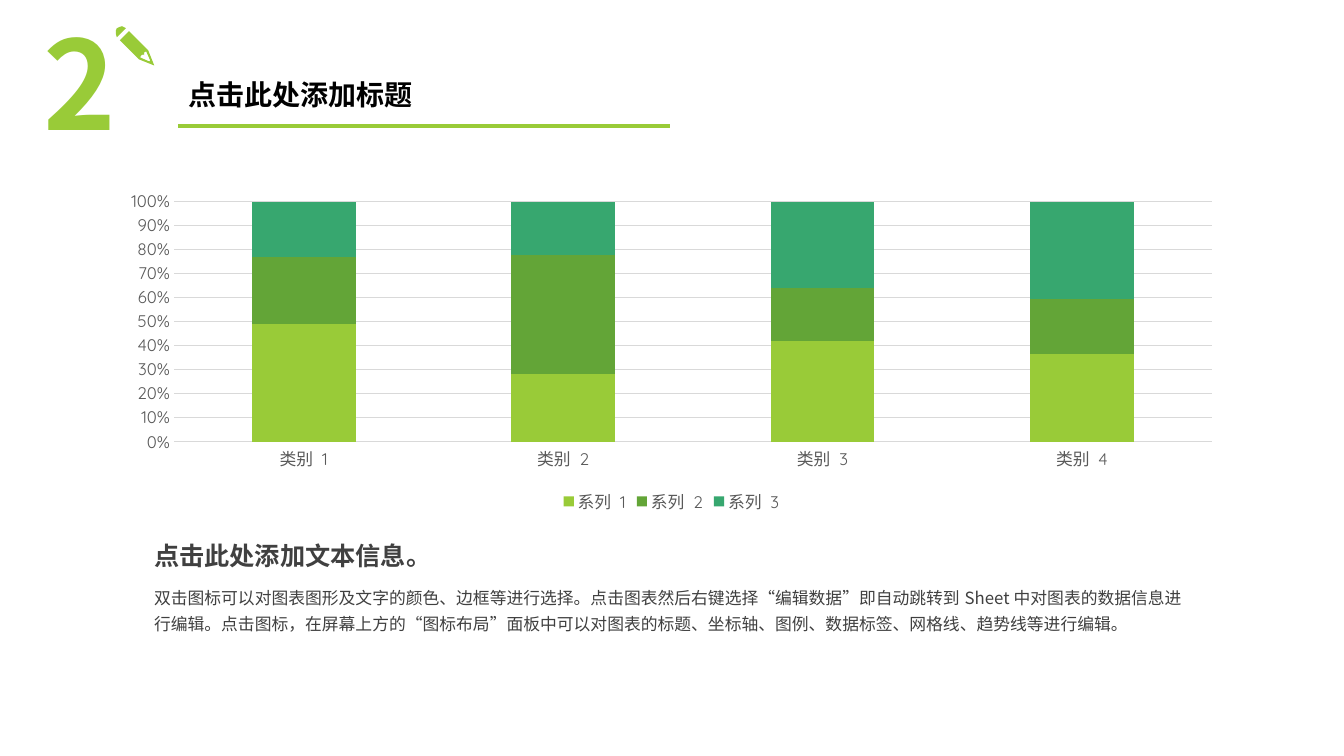
from lxml.etree import SubElement
from pptx import Presentation
from pptx.chart.data import CategoryChartData
from pptx.dml.color import RGBColor
from pptx.enum.chart import XL_CHART_TYPE as ChartType
from pptx.enum.chart import XL_LEGEND_POSITION as LegendPosition
from pptx.enum.chart import XL_TICK_MARK as TickMark
from pptx.enum.shapes import MSO_CONNECTOR as Connector
from pptx.enum.text import MSO_ANCHOR as Anchor
from pptx.oxml.ns import qn
from pptx.util import Pt

PX = 9144  # 100 px to the inch
TEXT_FONT, CHART_FONT = "Noto Sans CJK SC", "Quicksand"
LIME, GREEN, TEAL = "99CB38", "63A537", "37A76F"
BLACK, DARK_GRAY, GRAY, LIGHT_GRAY = "000000", "404040", "595959", "D9D9D9"

CATEGORIES = [f"类别 {number}" for number in range(1, 5)]
SERIES = [
    ("系列 1", (49, 28, 42, 37), LIME),
    ("系列 2", (28, 49, 22, 23), GREEN),
    ("系列 3", (23, 22, 36, 41), TEAL),
]

# Pencil outlines, in px from the top left corner of the icon
ERASER = [(1, 2), (0, 4), (0, 8), (1, 11), (10, 2), (8, 1), (6, 0), (3, 1)]
PENCIL_BODY = [(23, 33), (38, 39), (32, 24), (13, 5), (4, 14)]
PENCIL_TIP = [(25, 29), (27, 28), (28, 29), (28, 26), (30, 25),
              (34, 34), (33, 35), (24, 31)]


def px(*lengths):
    return [length * PX for length in lengths]


def color(hex_string):
    return RGBColor.from_string(hex_string)


def style_font(font, name, size, hex_string, bold=False):
    font.name, font.size, font.bold = name, Pt(size), bold
    font.color.rgb = color(hex_string)


def add_text(slide, box, text, size, hex_string, bold=False,
             spacing=1.3, anchor=Anchor.TOP, wrap=True):
    frame = slide.shapes.add_textbox(*px(*box)).text_frame
    frame.word_wrap, frame.vertical_anchor = wrap, anchor
    paragraph = frame.paragraphs[0]
    paragraph.line_spacing = spacing
    run = paragraph.add_run()
    run.text = text
    style_font(run.font, TEXT_FONT, size, hex_string, bold)
    east_asian = SubElement(run.font._element, qn("a:ea"))
    east_asian.set("typeface", TEXT_FONT)


def add_pencil(slide, left, top):
    group = slide.shapes.add_group_shape()
    for outlines in ([ERASER], [PENCIL_BODY, PENCIL_TIP]):
        first, *holes = [[(left + x, top + y) for x, y in outline]
                         for outline in outlines]
        builder = group.shapes.build_freeform(*first[0], scale=PX)
        builder.add_line_segments(first[1:])
        for hole in holes:
            builder.move_to(*hole[0])
            builder.add_line_segments(hole[1:])
        shape = builder.convert_to_shape()
        shape.shadow.inherit = False
        shape.fill.solid()
        shape.fill.fore_color.rgb = color(LIME)
        shape.line.fill.background()


def add_header(slide, left, top, number, title):
    title_left, title_width, rule_top = left + 144, 488, top + 99
    rule = slide.shapes.add_connector(
        Connector.STRAIGHT,
        *px(title_left, rule_top, title_left + title_width, rule_top))
    rule.line.color.rgb = color(LIME)
    rule.line.width = Pt(2.25)
    SubElement(rule._element.spPr, qn("a:effectLst"))
    add_pencil(slide, left + 82, top)
    add_text(slide, (title_left, top + 41, title_width, 58), title,
             20, BLACK, True, 0.9, Anchor.MIDDLE)
    add_text(slide, (left, top, 97, 127), number,
             88, LIME, True, 0.9, Anchor.MIDDLE)


def add_share_chart(slide, box):
    data = CategoryChartData()
    data.categories = CATEGORIES
    for name, values, _ in SERIES:
        data.add_series(name, values)
    chart = slide.shapes.add_chart(
        ChartType.COLUMN_STACKED_100, *px(*box), data).chart
    chart.has_title = False
    style_font(chart.font, CHART_FONT, 10, BLACK)

    plot = chart.plots[0]
    plot.gap_width, plot.overlap = 150, 100
    plot.vary_by_categories = False
    for series, (_, _, fill) in zip(plot.series, SERIES):
        series.format.fill.solid()
        series.format.fill.fore_color.rgb = color(fill)

    for axis in (chart.category_axis, chart.value_axis):
        axis.major_tick_mark = axis.minor_tick_mark = TickMark.NONE
        axis.format.line.fill.background()
        style_font(axis.tick_labels.font, CHART_FONT, 12, GRAY)
    value_axis = chart.value_axis
    value_axis.minimum_scale, value_axis.maximum_scale = 0, 1
    value_axis.major_unit = 0.1
    value_axis.tick_labels.number_format = "0%"
    value_axis.tick_labels.number_format_is_linked = False
    grid_line = value_axis.major_gridlines.format.line
    grid_line.color.rgb = color(LIGHT_GRAY)
    grid_line.width = Pt(0.75)

    chart.has_legend = True
    chart.legend.position = LegendPosition.BOTTOM
    chart.legend.include_in_layout = False
    style_font(chart.legend.font, CHART_FONT, 12, GRAY)


def add_caption(slide, left, top, width):
    add_text(slide, (left, top + 50, width, 63),
             "双击图标可以对图表图形及文字的颜色、边框等进行选择。"
             "点击图表然后右键选择“编辑数据”即自动跳转到Sheet中对图表的"
             "数据信息进行编辑。点击图标，在屏幕上方的“图标布局”面板中"
             "可以对图表的标题、坐标轴、图例、数据标签、网格线、"
             "趋势线等进行编辑。", 12, DARK_GRAY)
    add_text(slide, (left, top, 298, 49), "点击此处添加文本信息。",
             18, DARK_GRAY, True, wrap=False)


def main():
    presentation = Presentation()
    presentation.slide_width, presentation.slide_height = px(1333, 750)
    slide = presentation.slides.add_slide(presentation.slide_layouts[6])
    add_header(slide, 33, 26, "2", "点击此处添加标题")
    add_share_chart(slide, (108, 183, 1116, 331))
    add_caption(slide, 143, 522, 1043)
    presentation.save("out.pptx")


if __name__ == "__main__":
    main()
